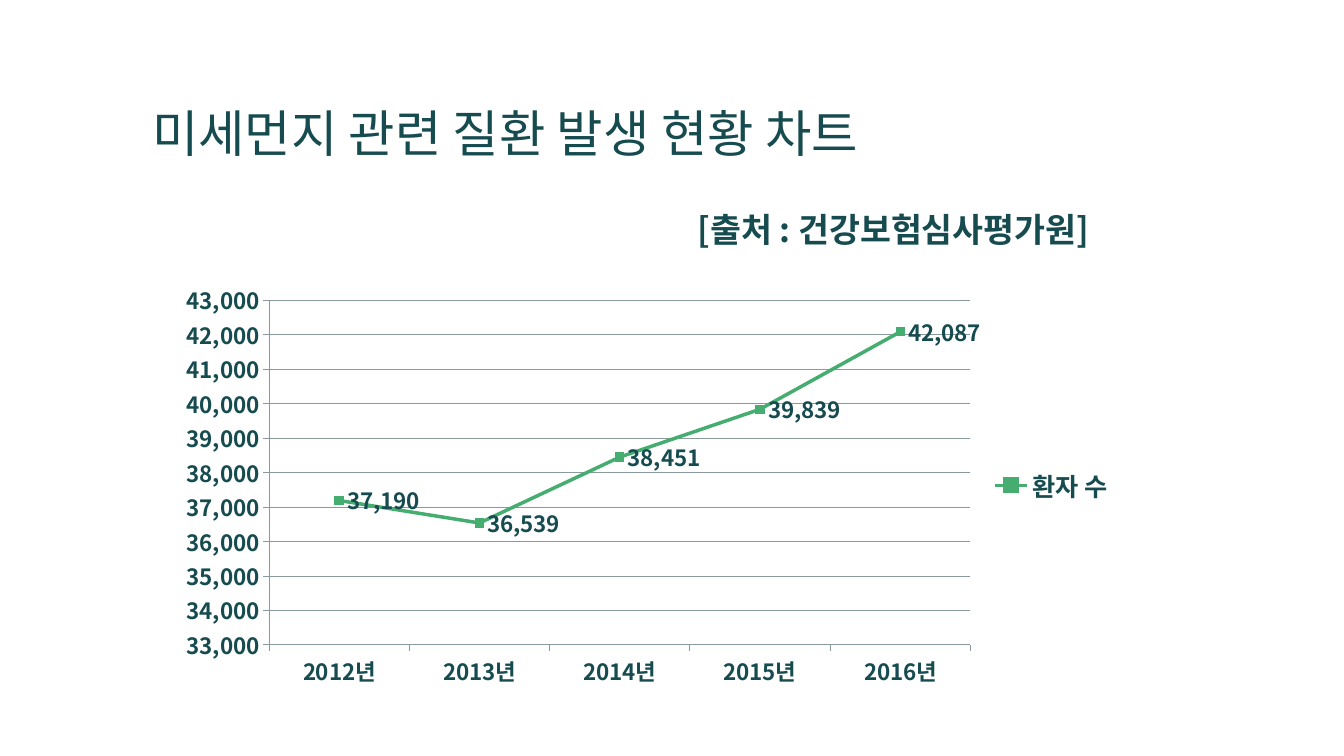
from dataclasses import dataclass

from lxml import etree
from pptx import Presentation
from pptx.chart.data import CategoryChartData
from pptx.dml.color import RGBColor
from pptx.enum.chart import (XL_CHART_TYPE, XL_LABEL_POSITION, XL_LEGEND_POSITION,
                             XL_MARKER_STYLE, XL_TICK_MARK)
from pptx.enum.text import MSO_ANCHOR, MSO_AUTO_SIZE
from pptx.oxml.ns import qn
from pptx.util import Pt

PX = 9144  # 100 px to the inch
FONT = "Noto Sans CJK KR"
TEAL = RGBColor(0x16, 0x4B, 0x4F)
GREEN = RGBColor(0x46, 0xAD, 0x70)
GRID = RGBColor(0x8A, 0x9A, 0x9C)
LINE_MARKERS = XL_CHART_TYPE.LINE_MARKERS
RIGHT_LABEL = XL_LABEL_POSITION.RIGHT
RIGHT_LEGEND = XL_LEGEND_POSITION.RIGHT
SQUARE = XL_MARKER_STYLE.SQUARE
TICK_OUT = XL_TICK_MARK.OUTSIDE
TICK_NONE = XL_TICK_MARK.NONE
TOP, BOTTOM = MSO_ANCHOR.TOP, MSO_ANCHOR.BOTTOM
GROW = MSO_AUTO_SIZE.SHAPE_TO_FIT_TEXT
FIXED = MSO_AUTO_SIZE.NONE
NUMBER_FORMAT = "#,##0"

PATIENTS = {"2012년": 37190, "2013년": 36539, "2014년": 38451,
            "2015년": 39839, "2016년": 42087}
PLOT_AREA = {"x": 0.11, "y": 0.06, "w": 0.73, "h": 0.82}


@dataclass
class Label:
    text: str
    left: int
    top: int
    width: int
    height: int
    size: int
    bold: bool
    wrap: bool
    anchor: MSO_ANCHOR
    spacing: float


LABELS = [
    Label("미세먼지 관련 질환 발생 현황 차트", 141, 42, 1050, 125, 36, False, True, BOTTOM, 0.9),
    Label("[출처 : 건강보험심사평가원]", 682, 202, 449, 50, 24, True, False, TOP, 1.0),
]


def style_font(font, size: int, bold: bool) -> None:
    font.name = FONT
    font.size = Pt(size)
    font.bold = bold
    font.color.rgb = TEAL


def add_east_asian_font(element) -> None:
    """Give Korean letters the same typeface as Latin ones."""
    for latin in list(element.iter(qn("a:latin"))):
        east_asian = etree.Element(qn("a:ea"))
        east_asian.set("typeface", latin.get("typeface"))
        latin.addnext(east_asian)


def draw_label(page, label: Label) -> None:
    box = page.shapes.add_textbox(label.left * PX, label.top * PX,
                                  label.width * PX, label.height * PX)
    frame = box.text_frame
    frame.text = label.text
    frame.word_wrap = label.wrap
    frame.auto_size = FIXED if label.wrap else GROW
    frame.vertical_anchor = label.anchor
    para = frame.paragraphs[0]
    para.line_spacing = label.spacing
    style_font(para.runs[0].font, label.size, label.bold)
    add_east_asian_font(box.element)


def place_plot(chart) -> None:
    """Fix the inner plot area as fractions of the chart."""
    plot_area = chart.element.find(".//" + qn("c:plotArea"))
    for old in plot_area.findall(qn("c:layout")):
        plot_area.remove(old)
    layout = etree.Element(qn("c:layout"))
    manual = etree.SubElement(layout, qn("c:manualLayout"))
    settings = {"layoutTarget": "inner", "xMode": "edge", "yMode": "edge", **PLOT_AREA}
    for name, value in settings.items():
        etree.SubElement(manual, qn("c:" + name)).set("val", str(value))
    plot_area.insert(0, layout)


def draw_chart(page) -> None:
    data = CategoryChartData(number_format=NUMBER_FORMAT)
    data.categories = list(PATIENTS)
    data.add_series("환자 수", list(PATIENTS.values()))
    chart = page.shapes.add_chart(LINE_MARKERS, 162 * PX, 273 * PX,
                                  953 * PX, 417 * PX, data).chart
    chart.has_title = False
    style_font(chart.font, 18, False)

    # Axes
    for axis in (chart.category_axis, chart.value_axis):
        axis.major_tick_mark = TICK_OUT
        axis.minor_tick_mark = TICK_NONE
        axis.format.line.color.rgb = GRID
        axis.format.line.width = Pt(0.75)
        style_font(axis.tick_labels.font, 16, True)
    values = chart.value_axis
    values.minimum_scale, values.maximum_scale, values.major_unit = 33000, 43000, 1000
    values.tick_labels.number_format = NUMBER_FORMAT
    values.tick_labels.number_format_is_linked = False
    values.has_major_gridlines = True
    values.major_gridlines.format.line.color.rgb = GRID
    values.major_gridlines.format.line.width = Pt(0.75)

    # Line, markers and value labels
    plot = chart.plots[0]
    plot.vary_by_categories = False
    series = plot.series[0]
    series.smooth = False
    series.format.line.color.rgb = GREEN
    series.format.line.width = Pt(2.5)
    series.marker.style = SQUARE
    series.marker.size = 6
    series.marker.format.fill.solid()
    series.marker.format.fill.fore_color.rgb = GREEN
    series.marker.format.line.color.rgb = GREEN
    labels = series.data_labels
    labels.show_value = True
    labels.position = RIGHT_LABEL
    labels.number_format = NUMBER_FORMAT
    labels.number_format_is_linked = False
    style_font(labels.font, 16, True)

    # Legend
    chart.has_legend = True
    chart.legend.position = RIGHT_LEGEND
    chart.legend.include_in_layout = False
    style_font(chart.legend.font, 18, True)

    place_plot(chart)
    add_east_asian_font(chart.element)


def main() -> None:
    deck = Presentation()
    deck.slide_width, deck.slide_height = 1333 * PX, 750 * PX
    page = deck.slides.add_slide(deck.slide_layouts[6])
    for label in LABELS:
        draw_label(page, label)
    draw_chart(page)
    deck.save("out.pptx")


if __name__ == "__main__":
    main()
